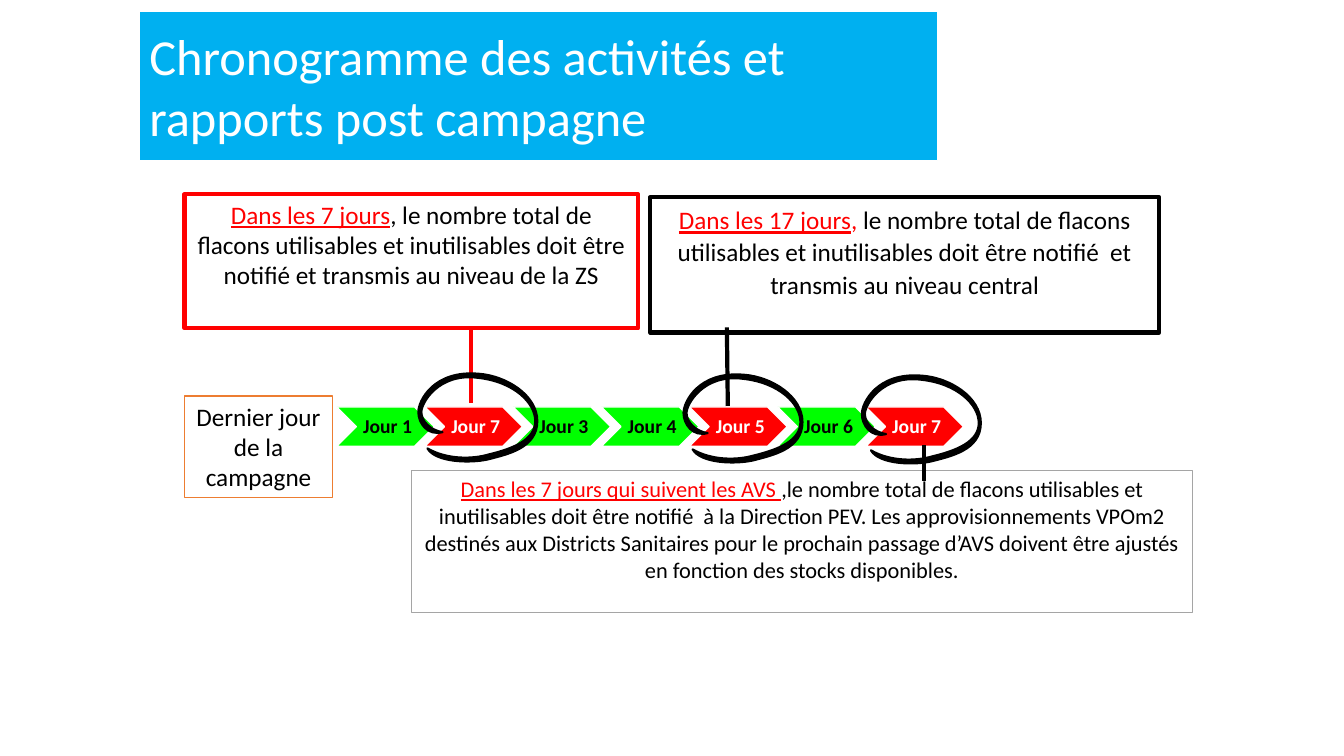
from lxml import etree
from pptx import Presentation
from pptx.dml.color import RGBColor
from pptx.enum import shapes, text
from pptx.oxml import ns
from pptx.util import Pt

COLORS = {"white": "FFFFFF", "black": "000000", "blue": "00B0F0", "red": "FF0000",
          "green": "00FF00", "orange": "ED7D31", "gray": "A5A5A5"}
DAYS = [("Jour 1", False), ("Jour 7", True), ("Jour 3", False), ("Jour 4", False),
        ("Jour 5", True), ("Jour 6", False), ("Jour 7", True)]
RING_START = (6.5, 56.2)
RING_CURVES = [
    (20.2, 64.1), (38.2, 64.1), (50.4, 60.5),
    (68.4, 56.2), (83.5, 49.7), (83.5, 36.7),
    (83.5, 23.8), (68.4, 8.6), (42.5, 5.8),
    (14.4, 2.2), (2.2, 23.8), (2.2, 30.2),
    (2.2, 36.7), (8.6, 43.2), (17.3, 44.6),
    (6.5, 47.5), (0, 38.2), (0, 30.2),
    (0, 22.3), (10.8, 0), (43.2, 2.9),
    (62.6, 4.3), (85, 18), (85, 36.7),
    (85, 56.2), (63.4, 60.5), (49.7, 64.1),
    (36.7, 67), (12.2, 66.2), (6.5, 56.2),
]


def rgb(name):
    """Return the named colour."""
    return RGBColor.from_string(COLORS[name])


def style(sp, fill, line, width=1):
    """Set the fill and outline of a shape."""
    if fill:
        sp.fill.solid()
        sp.fill.fore_color.rgb = rgb(fill)
    else:
        sp.fill.background()
    sp.line.color.rgb = rgb(line)
    sp.line.width = Pt(width)


def add_shape(s, kind, box, fill, line, width=1):
    """Add a styled preset shape in the given box."""
    sp = s.shapes.add_shape(kind, *map(Pt, box))
    sp.shadow.inherit = False
    style(sp, fill, line, width)
    return sp


def set_font(p, size, color, bold=False):
    """Set the font of a whole paragraph."""
    p.font.name = "Calibri"
    p.font.size = Pt(size)
    p.font.bold = bold
    p.font.color.rgb = rgb(color)


def add_title(s, box, title):
    """Turn the title placeholder into a rounded banner."""
    sp = s.shapes.title
    sp.left, sp.top, sp.width, sp.height = map(Pt, box)
    geometry = etree.SubElement(sp._element.spPr, ns.qn("a:prstGeom"), prst="roundRect")
    etree.SubElement(geometry, ns.qn("a:avLst"))
    style(sp, "blue", "white")
    tf = sp.text_frame
    tf.text = title
    tf.word_wrap = True
    tf.auto_size = text.MSO_AUTO_SIZE.NONE
    tf.vertical_anchor = text.MSO_ANCHOR.MIDDLE
    p = tf.paragraphs[0]
    p.alignment = text.PP_ALIGN.LEFT
    set_font(p, 36, "white")


def add_note(s, box, line, width, body, deadline="", comma="", size=18, fill="white", spacing=1.0):
    """Add an outlined note whose deadline is red and underlined."""
    sp = add_shape(s, shapes.MSO_SHAPE.RECTANGLE, box, fill, line, width)
    tf = sp.text_frame
    tf.word_wrap = True
    tf.vertical_anchor = text.MSO_ANCHOR.TOP
    p = tf.paragraphs[0]
    p.alignment = text.PP_ALIGN.CENTER
    p.line_spacing = spacing
    set_font(p, size, "black")
    for words, color, underline in ((deadline, "red", True), (comma, "red", False),
                                    (body, "black", False)):
        if words:
            r = p.add_run()
            r.text = words
            r.font.color.rgb = rgb(color)
            r.font.underline = underline


def add_link(s, start, end, color):
    """Join a note to its day with a straight line."""
    line = s.shapes.add_connector(shapes.MSO_CONNECTOR.STRAIGHT, *map(Pt, start + end))
    line.line.color.rgb = rgb(color)
    line.line.width = Pt(3)
    etree.SubElement(line._element.spPr, ns.qn("a:effectLst"))


def add_timeline(s, box):
    """Spread the day chevrons across the box with a small overlap."""
    left, top, width, height = box
    chevron = 69.8
    pitch = (width - chevron) / (len(DAYS) - 1)
    for i, (day, key) in enumerate(DAYS):
        sp = add_shape(s, shapes.MSO_SHAPE.CHEVRON, (left + i * pitch, top, chevron, height),
                       "red" if key else "green", "white")
        tf = sp.text_frame
        tf.text = day
        tf.word_wrap = False
        tf.vertical_anchor = text.MSO_ANCHOR.MIDDLE
        tf.margin_left = Pt(4.3)
        tf.margin_top = tf.margin_right = tf.margin_bottom = Pt(1.4)
        p = tf.paragraphs[0]
        p.alignment = text.PP_ALIGN.CENTER
        p.line_spacing = 0.9
        set_font(p, 14, "white" if key else "black", True)


def add_ring(s, left, top):
    """Circle a key day with a brush stroke of cubic curves."""
    first, *rest = [(Pt(left + x), Pt(top + y)) for x, y in [RING_START] + RING_CURVES]
    builder = s.shapes.build_freeform(*first)
    builder.add_line_segments(rest, close=True)
    sp = builder.convert_to_shape()
    sp.shadow.inherit = False
    style(sp, "black", "black", 1.5)
    lines = list(sp._element.iter(ns.qn("a:lnTo")))
    for i in range(0, len(lines), 3):
        curve = etree.Element(ns.qn("a:cubicBezTo"))
        lines[i].addprevious(curve)
        for line in lines[i:i + 3]:
            curve.append(line[0])
            line.getparent().remove(line)


def add_schedule(s, left, top):
    """Lay out the timeline, its notes, links and rings."""
    add_note(s, (left, top + 144, 105.8, 72.7), "orange", 1, "Dernier jour de la campagne")
    add_timeline(s, (left + 108.7, top + 151.9, 447.8, 28.1))
    add_link(s, (left + 204.5, top + 95.8), (left + 204.5, top + 149), "red")
    add_note(s, (left, top, 324, 95.8), "red", 3,
             ", le nombre total de flacons utilisables et inutilisables doit être notifié "
             "et transmis au niveau de la ZS", "Dans les 7 jours")
    add_note(s, (left + 162, top + 197.3, 558, 101.5), "gray", 1,
             ",le nombre total de flacons utilisables et inutilisables doit être notifié  à la "
             "Direction PEV. Les approvisionnements VPOm2 destinés aux Districts Sanitaires pour le "
             "prochain passage d’AVS doivent être ajustés en fonction des stocks disponibles.",
             "Dans les 7 jours qui suivent les AVS ", size=16)
    add_link(s, (left + 528.5, top + 204.5), (left + 528.5, top + 179.3), "black")
    for x, y in ((167, 125.3), (356.4, 126), (483.8, 126.7)):
        add_ring(s, left + x, top + y)
    add_note(s, (left + 332.6, top + 2.2, 363.6, 96.5), "black", 3,
             "le nombre total de flacons utilisables et inutilisables doit être notifié  et transmis "
             "au niveau central", "Dans les 17 jours", ", ", fill=None, spacing=1.07)
    add_link(s, (left + 387.4, top + 95), (left + 388.1, top + 151.2), "black")


def main():
    """Build the schedule slide and save it."""
    prs = Presentation()
    prs.slide_width, prs.slide_height = Pt(960), Pt(540)
    s = prs.slides.add_slide(prs.slide_layouts[5])
    add_title(s, (99.4, 7.9, 570.2, 106.6), "Chronogramme des activités et rapports post campagne")
    add_schedule(s, 131.8, 138.8)
    prs.save("out.pptx")


if __name__ == "__main__":
    main()
